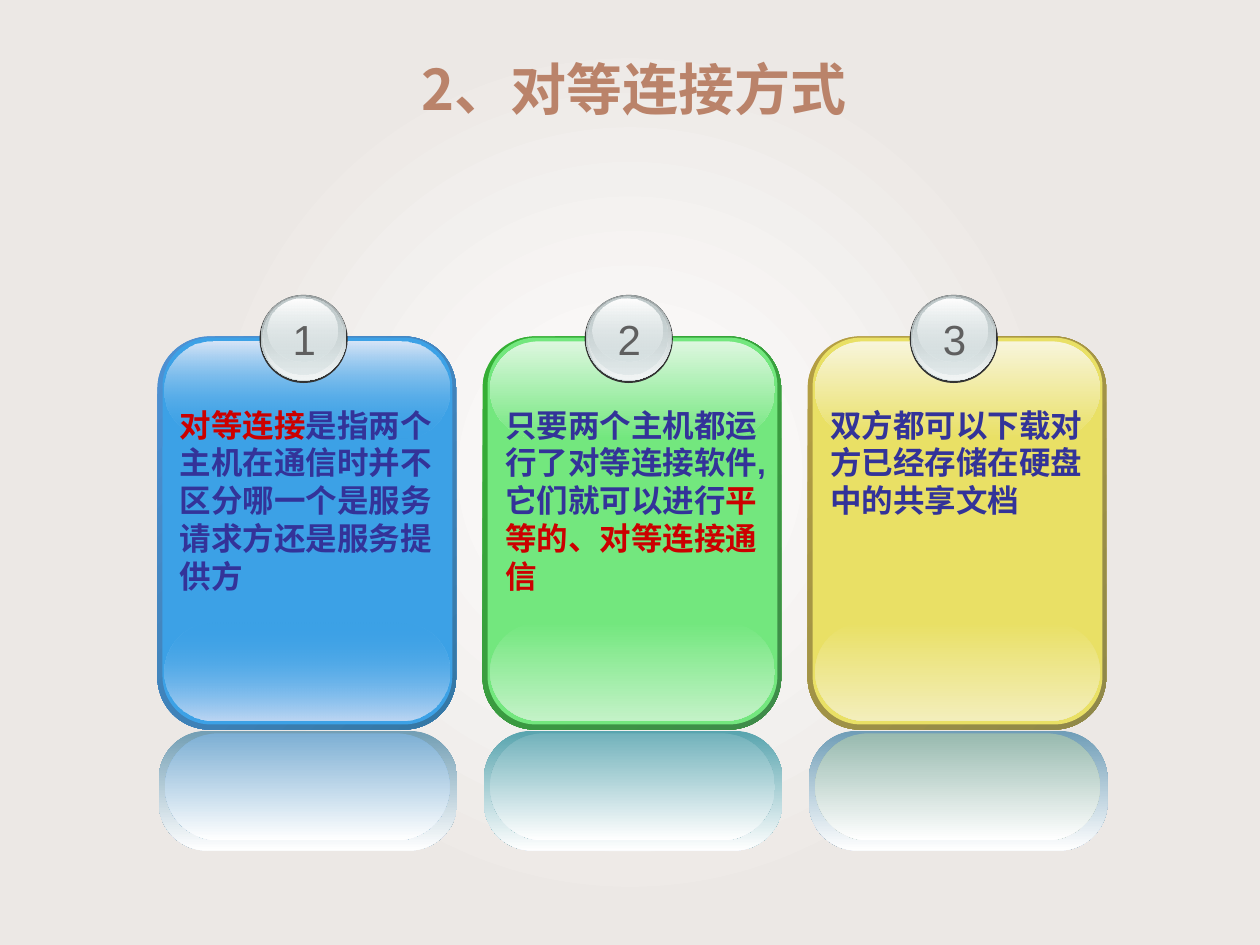
"""Build a slide of three glossy numbered cards on peer-to-peer links."""
from dataclasses import dataclass
from typing import Any

import pptx
import pptx.dml.color
import pptx.dml.fill
import pptx.enum.shapes
import pptx.enum.text
import pptx.oxml
import pptx.oxml.ns
import pptx.util
from lxml import etree

RGB = pptx.dml.color.RGBColor
Inches = pptx.util.Inches
Pt = pptx.util.Pt
KIND = pptx.enum.shapes.MSO_SHAPE
ALIGN = pptx.enum.text.PP_ALIGN
FIT = pptx.enum.text.MSO_AUTO_SIZE
qn = pptx.oxml.ns.qn

WHITE = RGB(0xFF, 0xFF, 0xFF)
SAND = RGB(0xEC, 0xE8, 0xE5)
CLAY = RGB(0xBA, 0x83, 0x6A)
RED = RGB(0xCC, 0x00, 0x00)
NAVY = RGB(0x33, 0x33, 0x99)
GRAY = RGB(0x5F, 0x5F, 0x5F)
DARK = RGB(0x33, 0x33, 0x33)
STEEL = RGB(0x99, 0xA1, 0xA2)
MIST = RGB(0xD6, 0xE1, 0xE2)
FROST = RGB(0xF2, 0xF5, 0xF5)
ASH = RGB(0xC1, 0xCB, 0xCC)

LEFT, PITCH = 1.25, 2.58
TITLE = {"name": "Noto Sans CJK SC", "size": Pt(32), "bold": True}
BODY = {"name": "Arial", "size": Pt(18), "bold": True}
DIGIT = {"name": "Arial", "size": Pt(24), "bold": False}


@dataclass
class Stop:
    color: RGB
    alpha: int = 100


@dataclass
class Layer:
    left: float
    top: float
    width: float
    height: float
    stops: list[Stop]
    round: float | None = None
    angle: int = 90


@dataclass
class Card:
    face: RGB
    rim: tuple[RGB, RGB]
    shine: RGB
    glow: RGB
    mirror: tuple[RGB, RGB]
    words: list[tuple[str, RGB]]
    height: float = 1.6
    edge: int = 100


BADGE = [
    Layer(0.81, 2.34, 0.7, 0.7, [Stop(DARK)]),
    Layer(0.82, 2.34, 0.68, 0.68, [Stop(STEEL), Stop(MIST)]),
    Layer(0.83, 2.35, 0.66, 0.66, [Stop(MIST, 0), Stop(FROST)]),
    Layer(0.84, 2.35, 0.63, 0.62, [Stop(ASH), Stop(MIST, 48)]),
    Layer(0.87, 2.37, 0.56, 0.5, [Stop(WHITE), Stop(MIST, 38)]),
]

CARDS = [
    Card(RGB(0x3C, 0xA1, 0xE6), (RGB(0x4E, 0x91, 0xD4), RGB(0x34, 0x77, 0xA4)),
         RGB(0xD7, 0xE5, 0xF7), RGB(0xBD, 0xD6, 0xF3),
         (RGB(0x72, 0x9E, 0xB4), RGB(0x7D, 0xAF, 0xD4)),
         [("对等连接", RED),
          ("是指两个主机在通信时并不区分哪一个是服务请求方还是服务提供方", NAVY)], edge=0),
    Card(RGB(0x73, 0xE7, 0x7E), (RGB(0x34, 0xB0, 0x34), RGB(0x3F, 0x8B, 0x4A)),
         RGB(0xDD, 0xF7, 0xDF), RGB(0xC3, 0xF2, 0xC7),
         (RGB(0x58, 0xA4, 0xAE), RGB(0x72, 0xB2, 0xBB)),
         [("只要两个主机都运行了对等连接软件,它们就可以进行", NAVY),
          ("平等的、对等连接通信", RED)]),
    Card(RGB(0xE9, 0xE0, 0x65), (RGB(0xB5, 0x9F, 0x43), RGB(0x8F, 0x88, 0x49)),
         RGB(0xF8, 0xF5, 0xDB), RGB(0xF3, 0xEE, 0xBB),
         (RGB(0x6F, 0x9D, 0xB7), RGB(0x98, 0xBA, 0xAF)),
         [("双方都可以下载对方已经存储在硬盘中的共享文档", NAVY)], height=1),
]


def set_font(font: Any, style: dict[str, Any], color: RGB) -> None:
    for key, value in style.items():
        setattr(font, key, value)
    font.color.rgb = color


def set_fill(fill: pptx.dml.fill.FillFormat, stops: list[Stop], angle: int) -> None:
    if len(stops) == 1:
        fill.solid()
        fill.fore_color.rgb = stops[0].color
        return
    fill.gradient()
    fill.gradient_angle = 360 - angle
    for mark, stop in zip(fill.gradient_stops, stops):
        mark.color.rgb = stop.color


def add_layer(group: Any, layer: Layer, left: float) -> None:
    kind = KIND.OVAL if layer.round is None else KIND.ROUNDED_RECTANGLE
    shape = group.shapes.add_shape(kind, *map(Inches, (
        left + layer.left, layer.top, layer.width, layer.height)))
    if layer.round is not None:
        shape.adjustments[0] = layer.round
    shape.shadow.inherit = False
    shape.line.fill.background()
    set_fill(shape.fill, layer.stops, layer.angle)
    for node, stop in zip(shape.element.spPr.iter(qn("a:srgbClr")), layer.stops):
        if stop.alpha < 100:
            etree.SubElement(node, qn("a:alpha"), val=str(stop.alpha * 1000))


def add_text(group: Any, box: tuple[float, ...], words: list[tuple[str, RGB]],
             style: dict[str, Any], align: Any = None, wrap: bool = True) -> None:
    frame = group.shapes.add_textbox(*map(Inches, box)).text_frame
    frame.word_wrap = wrap
    frame.auto_size = FIT.SHAPE_TO_FIT_TEXT
    line = frame.paragraphs[0]
    line.alignment = align
    for text, color in words:
        run = line.add_run()
        run.text = text
        set_font(run.font, style, color)


def add_card(slide: Any, card: Card, index: int) -> None:
    left = LEFT + index * PITCH
    group = slide.shapes.add_group_shape()
    face, edge = Stop(card.face), Stop(card.face, card.edge)
    outer, inner = card.mirror
    panel = [
        Layer(0, 2.67, 2.37, 3.12, [Stop(c) for c in card.rim], 0.175, 45),
        Layer(0.04, 2.68, 2.3, 3.07, [face], 0.167),
        Layer(0.06, 4.94, 2.26, 0.78, [edge, Stop(card.glow)], 0.5),
        Layer(0.06, 2.71, 2.26, 0.77, [Stop(card.shine), edge], 0.5),
        Layer(0.01, 5.8, 2.37, 0.95, [Stop(outer), Stop(WHITE)], 0.404),
        Layer(0.06, 5.82, 2.26, 0.85, [Stop(inner), Stop(WHITE)], 0.5),
    ]
    for layer in panel + BADGE:
        add_layer(group, layer, left)
    add_text(group, (left + 0.97, 2.44, 0.39, 0.5), [(str(index + 1), GRAY)],
             DIGIT, ALIGN.CENTER, False)
    add_text(group, (left + 0.08, 3.17, 2.25, card.height), card.words, BODY)


def set_back(slide: Any) -> None:
    fill = slide.background.fill
    set_fill(fill, [Stop(WHITE), Stop(SAND)], 90)
    fill.gradient_stops[1].position = 0.57
    lin = next(slide.element.iter(qn("a:lin")))
    ring = etree.Element(qn("a:path"), path="circle")
    etree.SubElement(ring, qn("a:fillToRect"), dict.fromkeys("ltrb", "50000"))
    lin.getparent().replace(lin, ring)


def set_title(slide: Any, text: str) -> None:
    title = slide.shapes.title
    place = {"left": 0.54, "top": 0.22, "width": 8.98, "height": 1.02}
    for key, value in place.items():
        setattr(title, key, Inches(value))
    frame = title.text_frame
    frame.vertical_anchor = pptx.enum.text.MSO_ANCHOR.MIDDLE
    line = frame.paragraphs[0]
    line.alignment = ALIGN.CENTER
    line.line_spacing = 0.9
    run = line.add_run()
    run.text = text
    set_font(run.font, TITLE, CLAY)
    etree.SubElement(run.font._element, qn("a:ea"), typeface=TITLE["name"])


def main() -> None:
    deck = pptx.Presentation()
    deck.slide_width, deck.slide_height = Inches(10), Inches(7.5)
    slide = deck.slides.add_slide(deck.slide_layouts[5])
    set_back(slide)
    set_title(slide, "2、对等连接方式")
    for index, card in enumerate(CARDS):
        add_card(slide, card, index)
    deck.save("out.pptx")


if __name__ == "__main__":
    main()
